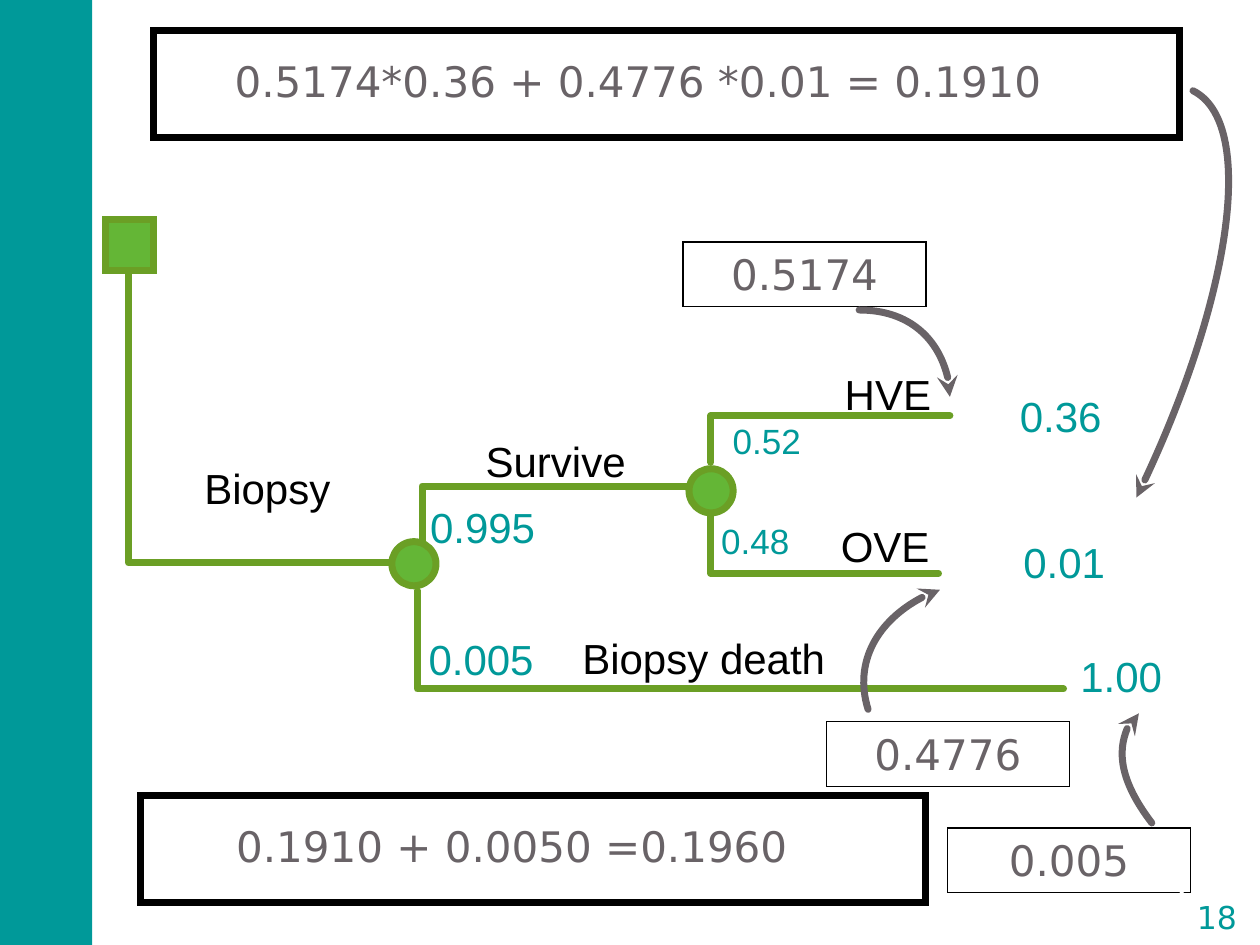
import lxml.etree as et
import pptx
import pptx.dml.color
import pptx.enum.shapes
import pptx.enum.text
import pptx.oxml.ns
import pptx.util

Cm = pptx.util.Cm
Pt = pptx.util.Pt
qn = pptx.oxml.ns.qn
KIND = pptx.enum.shapes.MSO_SHAPE
ALIGN = pptx.enum.text.PP_ALIGN
ANCHOR = pptx.enum.text.MSO_ANCHOR
FIT = pptx.enum.text.MSO_AUTO_SIZE

HEX = {
    "teal": "009999",
    "green": "64B636",
    "edge": "6B9F25",
    "gray": "696367",
    "black": "000000",
    "white": "FFFFFF",
}

# Corner points of each branch
BRANCHES = [
    [(2.59, 5.21), (2.59, 11.35), (8.25, 11.35)],
    [(8.51, 10.97), (8.51, 9.8), (14.07, 9.8)],
    [(8.41, 11.91), (8.41, 13.89), (21.44, 13.89)],
    [(14.33, 9.32), (14.33, 8.38), (19.15, 8.38)],
    [(14.33, 10.19), (14.33, 11.56), (18.92, 11.56)],
]
NODES = [
    (KIND.RECTANGLE, (2.13, 4.42, 0.97, 1.04)),
    (KIND.OVAL, (7.9, 10.92, 0.89, 0.89)),
    (KIND.OVAL, (13.89, 9.45, 0.89, 0.89)),
]
# Text, left, top, width, wrap
EVENTS = [
    ("Biopsy", 3.96, 9.25, 2.87, False),
    ("Survive", 9.63, 8.69, 4.19, True),
    ("Biopsy death", 11.58, 12.67, 5.26, False),
    ("HVE", 16.87, 7.34, 2.31, False),
    ("OVE", 16.79, 10.41, 2.64, True),
]
# Text, left, top, width, size
VALUES = [
    ("0.995", 8.51, 10.03, 2.72, 24),
    ("0.005", 8.48, 12.7, 2.77, 24),
    ("0.48", 14.38, 10.39, 1.85, 20),
    ("0.52", 14.61, 8.38, 2.01, 20),
    ("0.36", 20.4, 7.8, 2.16, 24),
    ("0.01", 20.47, 10.74, 2.16, 24),
    ("1.00", 21.62, 13.03, 2.16, 24),
]
# Text, frame left, top, width, text width
SUMS = [
    ("0.5174*0.36 + 0.4776 *0.01 = 0.1910", 3.1, 0.61, 20.68, 19.53),
    ("0.1910 + 0.0050 =0.1960", 2.84, 16.03, 15.82, 14.96),
]
RESULTS = [
    ("0.5174", 13.77, 4.88),
    ("0.4776", 16.66, 14.55),
    ("0.005", 19.1, 16.69),
]
# Start, two control points, end
ARROWS = [
    [(17.32, 6.25), (18.34, 6.25), (19.15, 7.04), (19.15, 8.0)],
    [(17.5, 14.3), (17.2, 13.34), (17.83, 12.27), (18.95, 11.89)],
    [(24.05, 1.83), (25.32, 2.46), (24.82, 6.12), (22.91, 10.03)],
    [(23.22, 16.59), (22.58, 15.75), (22.45, 14.76), (22.96, 14.38)],
]


def color(name):
    return pptx.dml.color.RGBColor.from_string(HEX[name])


def stroke(shape, name, width, join="miter"):
    shape.line.color.rgb = color(name)
    shape.line.width = Pt(width)
    line = shape.line._get_or_add_ln()
    if join == "round":
        line.set("cap", "rnd")
    et.SubElement(line, qn("a:" + join))
    return line


def block(slide, kind, box, fill=None, edge=None, width=4):
    shape = slide.shapes.add_shape(kind, *map(Cm, box))
    shape.shadow.inherit = False
    if fill:
        shape.fill.solid()
        shape.fill.fore_color.rgb = color(fill)
    else:
        shape.fill.background()
    if edge:
        stroke(shape, edge, width)
    else:
        shape.line.fill.background()
    return shape


def write(shape, text, size=24, font="Arial", tint="black", align=ALIGN.LEFT,
          anchor=ANCHOR.TOP, pad=(0.16, 0.08), wrap=True, fit=FIT.SHAPE_TO_FIT_TEXT):
    frame = shape.text_frame
    frame.word_wrap = wrap
    frame.auto_size = fit
    frame.vertical_anchor = anchor
    frame.margin_left = frame.margin_right = Cm(pad[0])
    frame.margin_top = frame.margin_bottom = Cm(pad[1])
    para = frame.paragraphs[0]
    para.alignment = align
    run = para.add_run()
    run.text = text
    run.font.size = Pt(size)
    run.font.name = font
    run.font.color.rgb = color(tint)


def label(slide, text, box, **style):
    write(slide.shapes.add_textbox(*map(Cm, box)), text, **style)


def trace(slide, points, name):
    """Draw an open, unfilled line through the points."""
    first, *rest = [(Cm(x), Cm(y)) for x, y in points]
    pen = slide.shapes.build_freeform(*first)
    pen.add_line_segments(rest, close=False)
    shape = pen.convert_to_shape()
    shape.shadow.inherit = False
    shape.fill.background()
    return shape, stroke(shape, name, 4, "round")


def arrow(slide, points):
    """Turn a three-segment line into one Bezier curve with a head."""
    shape, line = trace(slide, points, "gray")
    et.SubElement(line, qn("a:tailEnd"), type="stealth")
    legs = shape._element.xpath(".//a:lnTo")
    curve = et.Element(qn("a:cubicBezTo"))
    legs[0].addprevious(curve)
    for leg in legs:
        curve.append(leg[0])
        leg.getparent().remove(leg)


def main():
    deck = pptx.Presentation()
    deck.slide_width, deck.slide_height = Cm(25.4), Cm(19.05)
    slide = deck.slides.add_slide(deck.slide_layouts[6])
    block(slide, KIND.RECTANGLE, (-0.05, 0, 1.91, 19.05), "teal")

    for points in BRANCHES:
        trace(slide, points, "edge")
    for kind, box in NODES:
        block(slide, kind, box, "green", "edge")
    for text, left, top, width, wrap in EVENTS:
        label(slide, text, (left, top, width, 1.17), wrap=wrap)
    for text, left, top, width, size in VALUES:
        label(slide, text, (left, top, width, size * 0.05), size=size, tint="teal")

    math = dict(font="DejaVu Sans", tint="gray", align=ALIGN.CENTER, pad=(0.25, 0.13))
    for text, left, top, width, span in SUMS:
        block(slide, KIND.RECTANGLE, (left, top, width, 2.16), "white", "black")
        label(slide, text, (left, top + 0.38, span, 1.3), **math)
    for text, left, top in RESULTS:
        shape = block(slide, KIND.RECTANGLE, (left, top, 4.9, 1.3), "white", "black", 0.75)
        write(shape, text, **math)
    for points in ARROWS:
        arrow(slide, points)

    page = block(slide, KIND.DOUBLE_BRACKET, (23.77, 17.93, 1.52, 1.09), None, "white", 1.5)
    write(page, "18", size=18, font="DejaVu Sans", tint="teal", align=ALIGN.CENTER,
          anchor=ANCHOR.MIDDLE, pad=(0, 0), fit=FIT.NONE)
    deck.save("out.pptx")


if __name__ == "__main__":
    main()
